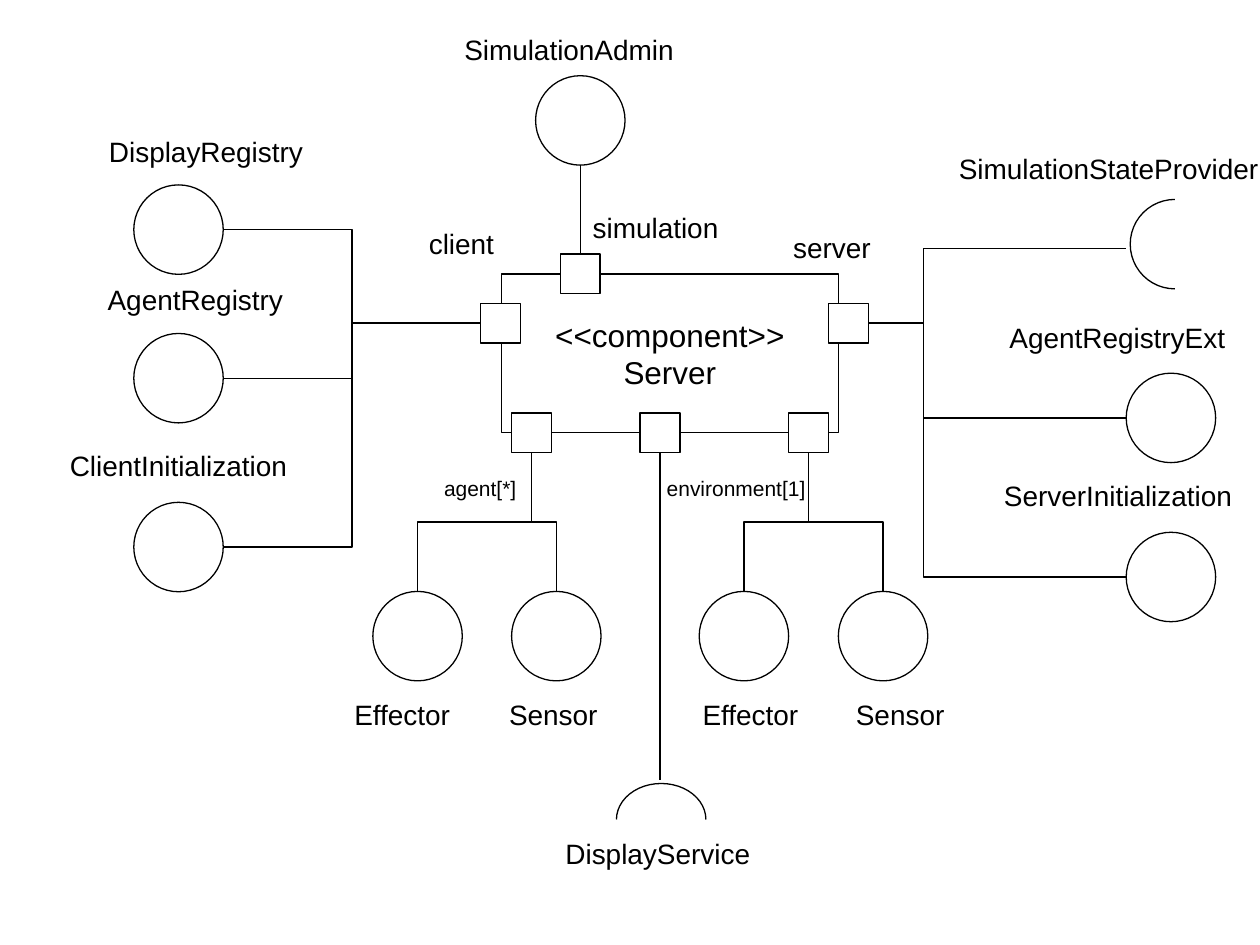
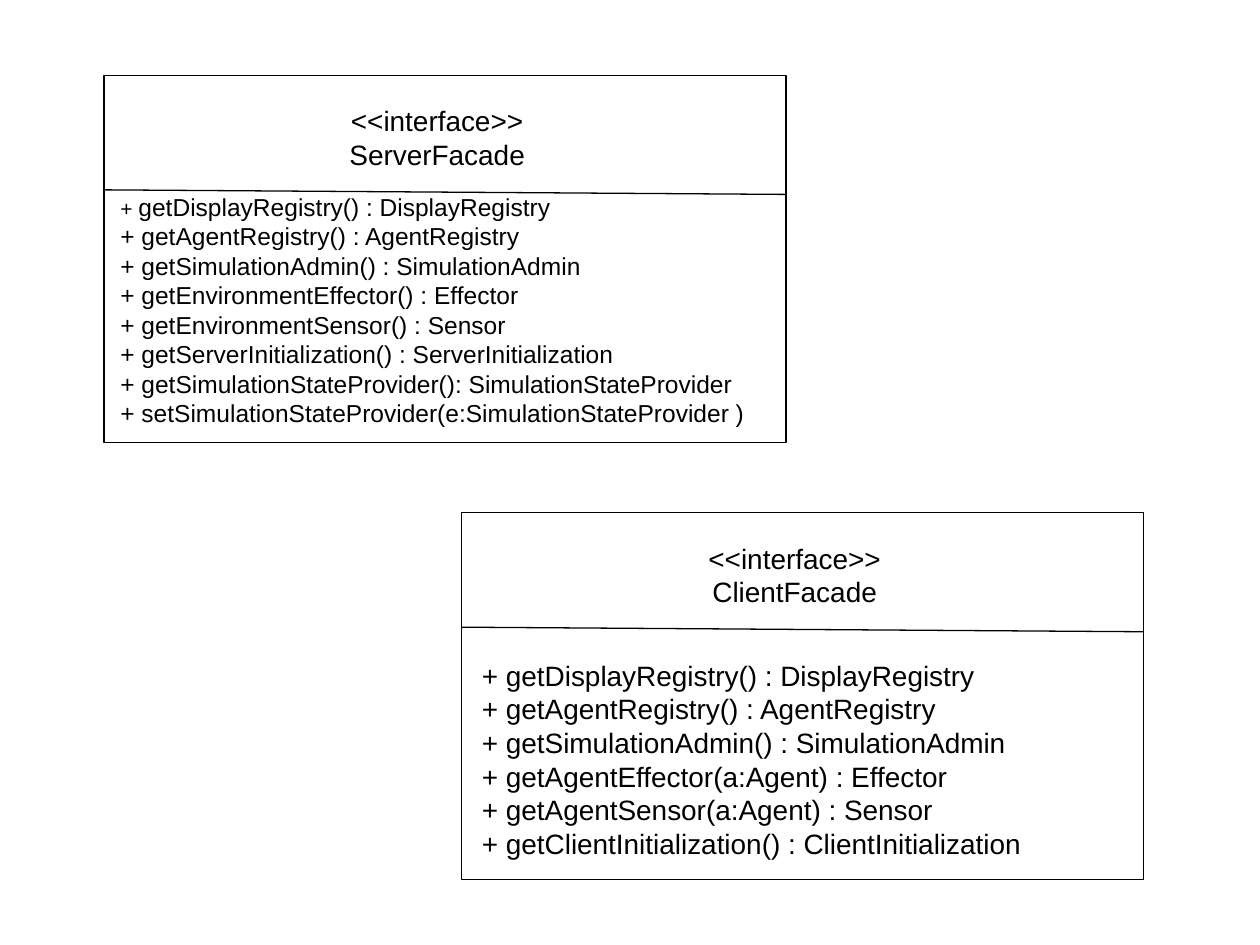
from lxml.etree import SubElement
from pptx import Presentation
from pptx.dml.color import RGBColor
from pptx.enum.shapes import MSO_CONNECTOR, MSO_SHAPE
from pptx.enum.text import MSO_ANCHOR, MSO_AUTO_SIZE, PP_ALIGN
from pptx.oxml.ns import qn
from pptx.util import Pt

FONT = "Arial"
INK = "000000"
PAPER = "FFFFFF"
LINE_WIDTH = 0.75

PORT = 22.8     # side of a port square
BALL = 51.1     # diameter of an interface circle
CLASS_W, CLASS_H = 389.7, 209.7


def rgb(value):
    return RGBColor.from_string(value)


def write_text(tf, lines, size=16, color=INK, align=PP_ALIGN.CENTER):
    """Fill a frame; a line is a string or a list of (text, size) runs."""
    tf.word_wrap = False
    for i, line in enumerate(lines):
        p = tf.paragraphs[0] if i == 0 else tf.add_paragraph()
        p.alignment = align
        runs = [(line, size)] if isinstance(line, str) else line
        for text, run_size in runs:
            r = p.add_run()
            r.text = text
            r.font.name = FONT
            r.font.size = Pt(run_size)
            r.font.color.rgb = rgb(color)


class Diagram:
    """Holds the line style and the slide being drawn."""

    def __init__(self, prs):
        self.prs = prs
        self.s = None

    def new_slide(self):
        self.s = self.prs.slides.add_slide(self.prs.slide_layouts[6])

    def stroke(self, sp):
        sp.line.color.rgb = rgb(INK)
        sp.line.width = Pt(LINE_WIDTH)

    def shape(self, kind, x, y, w, h, fill=PAPER):
        sp = self.s.shapes.add_shape(kind, Pt(x), Pt(y), Pt(w), Pt(h))
        sp.shadow.inherit = False
        if fill:
            sp.fill.solid()
            sp.fill.fore_color.rgb = rgb(fill)
        else:
            sp.fill.background()
        self.stroke(sp)
        return sp

    def box(self, x, y, w, h):
        return self.shape(MSO_SHAPE.RECTANGLE, x, y, w, h)

    def port(self, cx, cy):
        return self.box(cx - PORT / 2, cy - PORT / 2, PORT, PORT)

    def ball(self, cx, cy):
        return self.shape(MSO_SHAPE.OVAL, cx - BALL / 2, cy - BALL / 2, BALL, BALL)

    def socket(self, cx, cy, h, start, end):
        """Open half circle, clockwise from start to end degrees."""
        sp = self.shape(MSO_SHAPE.ARC, cx - BALL / 2, cy - h / 2, BALL, h, fill=None)
        for i, angle in enumerate((start, end)):
            sp.adjustments[i] = angle * 0.6    # 60000ths of a degree / 100000
        return sp

    def label(self, lines, x, y, w, h=26.6, **style):
        sp = self.s.shapes.add_textbox(Pt(x), Pt(y), Pt(w), Pt(h))
        write_text(sp.text_frame, lines, **style)
        sp.text_frame.auto_size = MSO_AUTO_SIZE.SHAPE_TO_FIT_TEXT

    def line(self, x1, y1, x2, y2, kind=MSO_CONNECTOR.STRAIGHT):
        cxn = self.s.shapes.add_connector(kind, Pt(x1), Pt(y1), Pt(x2), Pt(y2))
        self.stroke(cxn)
        SubElement(cxn._element.spPr, qn("a:effectLst"))
        return cxn

    def elbow_across(self, x1, y1, x2, y2, bend=0.5):
        """Horizontal, vertical, horizontal."""
        cxn = self.line(x1, y1, x2, y2, MSO_CONNECTOR.ELBOW)
        guides = cxn._element.spPr.find(qn("a:prstGeom")).get_or_add_avLst()
        SubElement(guides, qn("a:gd"), name="adj1", fmla=f"val {round(bend * 100000)}")

    def elbow_down(self, x1, y1, x2, y2):
        """Vertical, horizontal, vertical: an elbow turned by 90 degrees."""
        w, h = y2 - y1, abs(x2 - x1)
        x, y = (x1 + x2 - w) / 2, (y1 + y2 - h) / 2
        cxn = self.line(x, y, x + w, y + h, MSO_CONNECTOR.ELBOW)
        xfrm = cxn._element.spPr.find(qn("a:xfrm"))
        xfrm.set("rot", "5400000")
        if x2 > x1:
            xfrm.set("flipV", "1")

    def class_box(self, x, y, name, methods, body, size):
        """Interface with a header, a divider and its methods."""
        self.box(x, y, CLASS_W, CLASS_H)
        self.label(["<<interface>>", name], x + 131.4, y + 12.7, 118, 46)
        self.line(x, y + 65.4, x + CLASS_W, y + 68)
        dx, dy, w, h = body
        self.label(methods, x + dx, y + dy, w, h, size=size, align=PP_ALIGN.LEFT)


def component_slide(d):
    d.new_slide()

    # Component
    sp = d.box(286.4, 156.5, 192.8, 90.8)
    sp.text_frame.vertical_anchor = MSO_ANCHOR.MIDDLE
    write_text(sp.text_frame, ["<<component>>", "Server"], size=18)

    # Ports
    side_y, bottom_y = 184.7, 247.4
    client_x, server_x, agent_x, env_x = 286.2, 484.8, 303.7, 462
    sim_x, sim_y, display_x = 331.6, 156.5, 377.2
    for x, y in ((client_x, side_y), (server_x, side_y),
                 (agent_x, bottom_y), (env_x, bottom_y)):
        d.port(x, y)
    sim_port = d.port(sim_x, sim_y)
    display_port = d.port(display_x, bottom_y)

    # Client interfaces
    left_x = 102
    for y in (131.2, 216.1, 312.6):
        d.elbow_across(client_x - PORT / 2, side_y, left_x + BALL / 2, y)
        d.ball(left_x, y)

    # Server interfaces
    right_x = 669.1
    for y in (142, 238.8, 329.7):
        d.elbow_across(server_x + PORT / 2, side_y, right_x - BALL / 2, y, bend=0.213)
    for y in (238.8, 329.7):
        d.ball(right_x, y)
    d.socket(671.4, 139.5, BALL, 90, 270)

    # Effectors and sensors
    ball_y = 363.5
    for port_x, xs in ((agent_x, (238.6, 317.9)), (env_x, (425.1, 504.6))):
        for x in xs:
            d.elbow_down(port_x, bottom_y + PORT / 2, x, ball_y - BALL / 2)
            d.ball(x, ball_y)

    # Simulation and display
    admin_y = 68.8
    d.ball(sim_x, admin_y)
    cxn = d.line(sim_x, admin_y + BALL / 2, sim_x, sim_y - PORT / 2)
    cxn.end_connect(sim_port, 0)
    d.socket(377.8, 468.3, 41.2, 180, 0)
    cxn = d.line(display_x, bottom_y + PORT / 2, display_x, 445.7)
    cxn.begin_connect(display_port, 2)

    # Names: text, left, top, width
    for text, x, y, w in (
        ("DisplayRegistry", 53.2, 73.4, 129),
        ("AgentRegistry", 52.6, 157.8, 118),
        ("ClientInitialization", 31, 252.9, 142),
        ("client", 236.2, 126, 55),
        ("SimulationAdmin", 256.2, 15.1, 138),
        ("simulation", 329.6, 116.7, 90),
        ("server", 444.4, 128.2, 62),
        ("SimulationStateProvider", 538.5, 82.8, 190),
        ("AgentRegistryExt", 567.5, 179.6, 142),
        ("ServerInitialization", 564.4, 270, 149),
        ("Effector", 193.3, 394.9, 73),
        ("Sensor", 281.7, 394.9, 69),
        ("Effector", 392.3, 394.9, 73),
        ("Sensor", 479.9, 394.9, 69),
        ("DisplayService", 313.9, 474.6, 124),
    ):
        d.label([text], x, y, w)
    for text, x, w in (("agent[*]", 244.9, 59), ("environment[1]", 372.2, 97)):
        d.label([text], x, 268.4, w, 21.8, size=12)


def facade_slide(d):
    d.new_slide()

    # Server facade
    d.class_box(59.4, 43.1, "ServerFacade", [
        [("+ ", 12), ("getDisplayRegistry() : DisplayRegistry", 14)],
        "+ getAgentRegistry() : AgentRegistry",
        "+ getSimulationAdmin() : SimulationAdmin",
        "+ getEnvironmentEffector() : Effector",
        "+ getEnvironmentSensor() : Sensor",
        "+ getServerInitialization() : ServerInitialization",
        "+ getSimulationStateProvider(): SimulationStateProvider",
        "+ setSimulationStateProvider(e:SimulationStateProvider )",
    ], body=(2.3, 63.1, 374, 141.8), size=14)

    # Client facade
    d.class_box(263.7, 293, "ClientFacade", [
        "+ getDisplayRegistry() : DisplayRegistry",
        "+ getAgentRegistry() : AgentRegistry",
        "+ getSimulationAdmin() : SimulationAdmin",
        "+ getAgentEffector(a:Agent) : Effector",
        "+ getAgentSensor(a:Agent) : Sensor",
        "+ getClientInitialization() : ClientInitialization",
    ], body=(4.6, 79.7, 329, 123.4), size=16)


def main():
    prs = Presentation()
    prs.slide_width, prs.slide_height = Pt(720), Pt(540)
    d = Diagram(prs)
    component_slide(d)
    facade_slide(d)
    prs.save("out.pptx")


if __name__ == "__main__":
    main()
